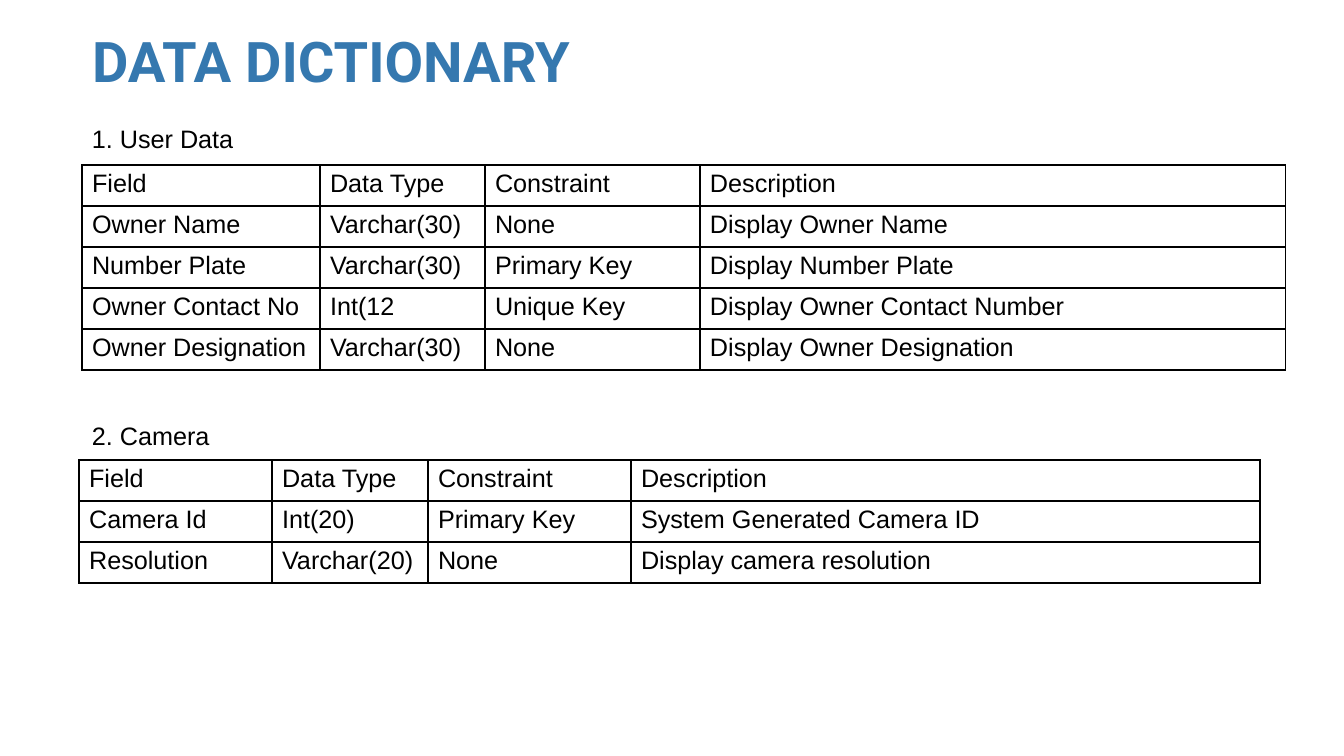
"""Build the data dictionary slide with its two field tables."""
import pptx
import pptx.dml.color
import pptx.enum.text
import pptx.util
from lxml import etree

TITLE = "DATA DICTIONARY"
HEADS = ("Field", "Data Type", "Constraint", "Description")
TABLES = [
    {
        "label": "1. User Data", "top": 118,
        "left": 82, "head": 165, "cols": (238, 165, 215, 586),
        "rows": [
            ("Owner Name", "Varchar(30)", "None", "Display Owner Name"),
            ("Number Plate", "Varchar(30)", "Primary Key", "Display Number Plate"),
            ("Owner Contact No", "Int(12", "Unique Key", "Display Owner Contact Number"),
            ("Owner Designation", "Varchar(30)", "None", "Display Owner Designation"),
        ],
    },
    {
        "label": "2. Camera", "top": 415,
        "left": 79, "head": 460, "cols": (193, 156, 203, 629),
        "rows": [
            ("Camera Id", "Int(20)", "Primary Key", "System Generated Camera ID"),
            ("Resolution", "Varchar(20)", "None", "Display camera resolution"),
        ],
    },
]
BLUE = pptx.dml.color.RGBColor(0x35, 0x78, 0xAF)
BLACK = pptx.dml.color.RGBColor(0, 0, 0)
ROW = 41
EDGE = 82
SCALE = 914400 / 100.8
NS = "http://schemas.openxmlformats.org/drawingml/2006/main"


def px(size):
    """Turn px into EMU."""
    return pptx.util.Emu(round(size * SCALE))


def style(frame, name, size, color, bold=False):
    """Format every run of a text frame."""
    for para in frame.paragraphs:
        for run in para.runs:
            run.font.name = name
            run.font.size = pptx.util.Pt(size)
            run.font.color.rgb = color
            run.font.bold = bold


def border(cell):
    """Draw thin black lines on all four sides of a cell."""
    props = cell._tc.get_or_add_tcPr()
    for side in ("lnL", "lnR", "lnT", "lnB"):
        line = etree.SubElement(props, f"{{{NS}}}{side}", w="12700")
        fill = etree.SubElement(line, f"{{{NS}}}solidFill")
        etree.SubElement(fill, f"{{{NS}}}srgbClr", val=str(BLACK))


def add_title(slide):
    """Place and format the title."""
    title = slide.shapes.title
    title.left, title.top, title.width, title.height = map(px, (EDGE, 29, 588, 83))
    frame = title.text_frame
    frame.text = TITLE
    frame.word_wrap = True
    frame.vertical_anchor = pptx.enum.text.MSO_ANCHOR.TOP
    para = frame.paragraphs[0]
    para.alignment = pptx.enum.text.PP_ALIGN.LEFT
    para.line_spacing = 0.9
    style(frame, "Roboto", 40, BLUE, True)


def add_label(slide, text, top):
    """Add the heading above a table."""
    frame = slide.shapes.add_textbox(*map(px, (EDGE, top, 246, 40))).text_frame
    frame.word_wrap = True
    frame.text = text
    style(frame, "Arial", 18, BLACK)


def add_grid(slide, item):
    """Add one bordered table."""
    rows = [HEADS] + item["rows"]
    cols = item["cols"]
    area = (item["left"], item["head"], sum(cols), ROW * len(rows))
    table = slide.shapes.add_table(len(rows), len(cols), *map(px, area)).table
    table.first_row = table.horz_banding = False
    for col, width in zip(table.columns, cols):
        col.width = px(width)
    for line, texts in zip(table.rows, rows):
        line.height = px(ROW)
        for cell, text in zip(line.cells, texts):
            cell.text_frame.text = text
            style(cell.text_frame, "Arial", 18, BLACK)
            border(cell)
            cell.fill.background()


def main():
    """Build and save the deck."""
    deck = pptx.Presentation()
    deck.slide_width, deck.slide_height = px(1344), px(756)
    slide = deck.slides.add_slide(deck.slide_layouts[5])
    add_title(slide)
    for item in TABLES:
        add_label(slide, item["label"], item["top"])
        add_grid(slide, item)
    deck.save("out.pptx")


if __name__ == "__main__":
    main()
